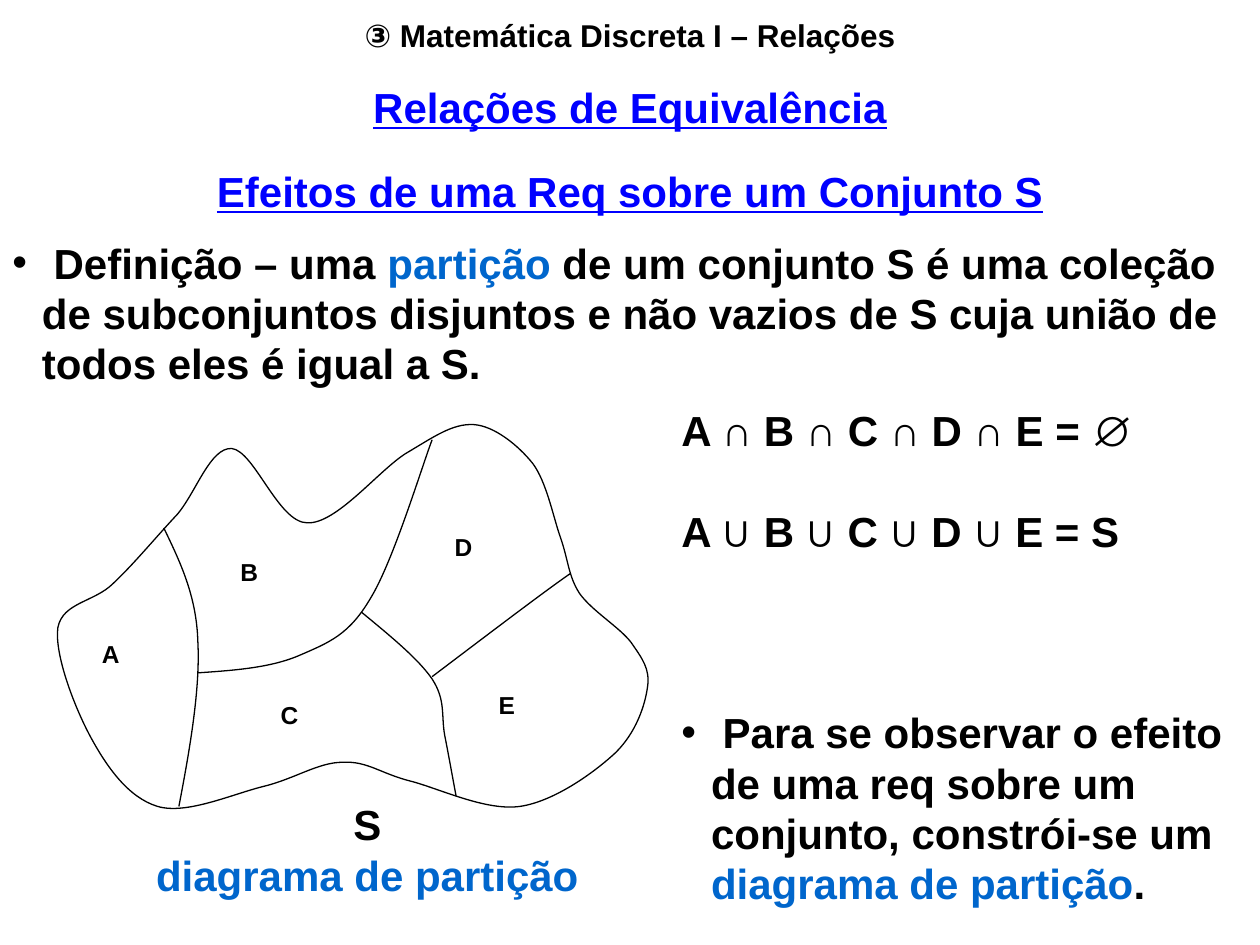
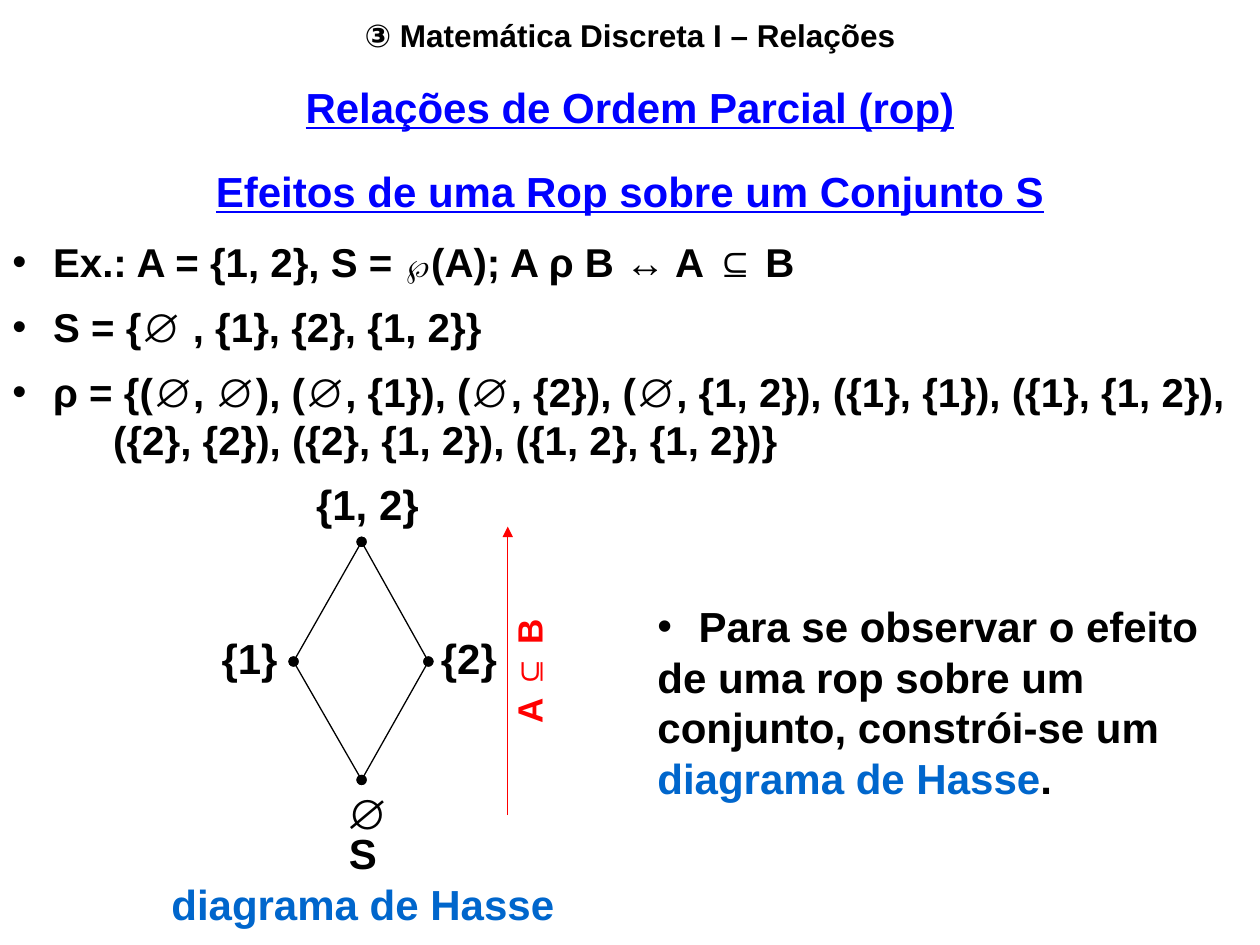
from dataclasses import dataclass

from lxml.etree import SubElement
from pptx import Presentation
from pptx.dml.color import RGBColor
from pptx.enum.shapes import MSO_CONNECTOR as Link
from pptx.enum.text import MSO_ANCHOR as Anchor, MSO_AUTO_SIZE as Fit, PP_ALIGN as Align
from pptx.oxml.ns import qn
from pptx.util import Inches, Pt

HUES = {"ink": "000000", "head": "0000FF", "term": "0066CC", "order": "FF0000"}
FONT = "Arial"
LEAD = 1.2
HANG = 0.235
Point = tuple[float, float]


@dataclass(frozen=True)
class Run:
    text: str
    hue: str = "ink"
    under: bool = False


@dataclass(frozen=True)
class Para:
    runs: tuple[Run, ...]
    size: float = 24
    mid: bool = False
    gap: float = 0
    bullet: bool = False
    inset: float = 0


@dataclass(frozen=True)
class Box:
    left: float
    top: float
    width: float
    height: float
    paras: tuple[Para, ...]
    wrap: bool = True
    turn: float = 0


@dataclass(frozen=True)
class Curve:
    start: Point
    bends: tuple[tuple[float, float, float, float, float, float], ...]
    closed: bool = False


def head(text: str, gap: float = 0) -> Para:
    return Para((Run(text, "head", True),), mid=True, gap=gap)


def plain(text: str, size: float = 24, hue: str = "ink", **more) -> Para:
    return Para((Run(text, hue),), size, **more)


def note(left: float, top: float, width: float, name: str) -> Box:
    return Box(left, top, width, 0.9, (
        plain("S", mid=True), plain(name, hue="term", mid=True)), wrap=False)


def color(key: str) -> RGBColor:
    return RGBColor.from_string(HUES[key])


def add_bullet(para) -> None:
    props = para._p.get_or_add_pPr()
    props.set("marL", str(Inches(HANG)))
    props.set("indent", str(-Inches(HANG)))
    tint = SubElement(props, qn("a:buClr"))
    SubElement(tint, qn("a:srgbClr"), val=HUES["ink"])
    SubElement(props, qn("a:buFont"), typeface=FONT)
    SubElement(props, qn("a:buChar"), char="•")


def fill_text(shape, box: Box) -> None:
    shape.left, shape.top = Inches(box.left), Inches(box.top)
    shape.width, shape.height = Inches(box.width), Inches(box.height)
    shape.rotation = box.turn
    frame = shape.text_frame
    frame.word_wrap = box.wrap
    frame.auto_size = Fit.SHAPE_TO_FIT_TEXT
    frame.vertical_anchor = Anchor.TOP
    for spot, item in enumerate(box.paras):
        para = frame.add_paragraph() if spot else frame.paragraphs[0]
        if item.bullet:
            add_bullet(para)
        elif item.inset:
            para._p.get_or_add_pPr().set("marL", str(Inches(item.inset)))
        para.alignment = Align.CENTER if item.mid else Align.LEFT
        if item.gap:
            para.space_before = Pt(item.gap * LEAD)
        for part in item.runs:
            run = para.add_run()
            run.text = part.text
            font = run.font
            font.name, font.size, font.bold = FONT, Pt(item.size), True
            font.underline = part.under
            font.color.rgb = color(part.hue)


def add_box(slide, box: Box) -> None:
    fill_text(slide.shapes.add_textbox(0, 0, 0, 0), box)


def bend_lines(shape, closed: bool) -> None:
    track = shape._element.spPr.find(".//" + qn("a:path"))
    lines = track.findall(qn("a:lnTo"))
    for first in range(0, len(lines), 3):
        bend = SubElement(track, qn("a:cubicBezTo"))
        for line in lines[first:first + 3]:
            bend.append(line[0])
            track.remove(line)
    if closed:
        SubElement(track, qn("a:close"))


def add_curve(slide, curve: Curve) -> None:
    points = [(Inches(x), Inches(y)) for bend in curve.bends
              for x, y in zip(bend[::2], bend[1::2])]
    pen = slide.shapes.build_freeform(*(Inches(n) for n in curve.start))
    pen.add_line_segments(points, close=False)
    shape = pen.convert_to_shape()
    bend_lines(shape, curve.closed)
    shape.shadow.inherit = False
    shape.fill.background()
    shape.line.color.rgb = color("ink")
    shape.line.width = Pt(0.75)


def add_link(slide, start: Point, end: Point, hue: str, **ends: str) -> None:
    link = slide.shapes.add_connector(
        Link.STRAIGHT, *(Inches(n) for n in (*start, *end)))
    link.line.color.rgb = color(hue)
    link.line.width = Pt(0.75)
    line = link.line._get_or_add_ln()
    for tag, kind in ends.items():
        SubElement(line, qn(f"a:{tag}"), type=kind)
    SubElement(link._element.spPr, qn("a:effectLst"))


def start_slide(deck):
    slide = deck.slides.add_slide(deck.slide_layouts[5])
    fill_text(slide.shapes.title, Box(0, 0.08, 10, 0.4, (
        plain("③ Matemática Discreta I – Relações", 18, mid=True),)))
    return slide


BLOB = Curve((1.84, 3.56), (
    (2.02, 3.58, 2.21, 4.15, 2.44, 4.15),
    (2.67, 4.16, 3, 3.74, 3.22, 3.6),
    (3.44, 3.47, 3.59, 3.36, 3.76, 3.37),
    (3.92, 3.38, 4.11, 3.53, 4.23, 3.68),
    (4.34, 3.83, 4.39, 4.1, 4.45, 4.27),
    (4.51, 4.44, 4.51, 4.57, 4.6, 4.71),
    (4.7, 4.85, 4.92, 4.98, 5.01, 5.1),
    (5.1, 5.23, 5.16, 5.31, 5.14, 5.45),
    (5.12, 5.6, 5.05, 5.81, 4.89, 5.97),
    (4.72, 6.13, 4.4, 6.36, 4.13, 6.4),
    (3.86, 6.44, 3.49, 6.26, 3.26, 6.2),
    (3.02, 6.14, 2.92, 6.04, 2.72, 6.05),
    (2.53, 6.05, 2.34, 6.18, 2.1, 6.24),
    (1.85, 6.3, 1.48, 6.47, 1.25, 6.4),
    (1.02, 6.33, 0.85, 6.09, 0.72, 5.85),
    (0.59, 5.61, 0.43, 5.19, 0.46, 4.98),
    (0.5, 4.78, 0.75, 4.78, 0.9, 4.63),
    (1.06, 4.48, 1.25, 4.25, 1.41, 4.08),
    (1.56, 3.9, 1.67, 3.55, 1.84, 3.56)), closed=True)
CUTS = (
    Curve((1.3, 4.19), ((1.43, 4.46, 1.56, 4.73, 1.57, 5.09),
                        (1.59, 5.46, 1.51, 5.93, 1.42, 6.4))),
    Curve((1.57, 5.34), ((1.86, 5.32, 2.15, 5.3, 2.38, 5.2),
                         (2.61, 5.1, 2.77, 5.04, 2.94, 4.75),
                         (3.12, 4.46, 3.35, 3.7, 3.43, 3.49))),
    Curve((2.87, 4.86), ((3.1, 5.05, 3.32, 5.23, 3.43, 5.39),
                         (3.54, 5.56, 3.5, 5.68, 3.53, 5.84),
                         (3.56, 5.99, 3.59, 6.16, 3.62, 6.32))),
    Curve((3.43, 5.37), ((3.88, 5.03, 4.34, 4.68, 4.53, 4.55),)),
)
PARTS = {"A": (0.71, 5.02), "B": (1.81, 4.37), "C": (2.13, 5.51),
         "D": (3.51, 4.17), "E": (3.86, 5.43)}


def add_parts(deck) -> None:
    slide = start_slide(deck)
    add_box(slide, Box(0, 0.6, 10, 2.54, (
        head("Relações de Equivalência"),
        head("Efeitos de uma Req sobre um Conjunto S", 16),
        Para((Run(" Definição – uma "), Run("partição", "term"),
              Run(" de um conjunto S é uma coleção de subconjuntos disjuntos e "
                  "não vazios de S cuja união de todos eles é igual a S.")),
             gap=10, bullet=True))))
    for curve in (BLOB, *CUTS):
        add_curve(slide, curve)
    for name, (left, top) in PARTS.items():
        add_box(slide, Box(left, top, 0.34, 0.34, (plain(name, 14),), wrap=False))
    add_box(slide, note(1.14, 6.29, 3.55, "diagrama de partição"))
    add_box(slide, Box(5.31, 3.16, 4.82, 4.1, (
        plain("A ∩ B ∩ C ∩ D ∩ E = ∅"),
        plain("A ∪ B ∪ C ∪ D ∪ E = S", gap=24),
        Para((Run(" Para se observar o efeito de uma req sobre um conjunto, "
                  "constrói-se um "),
              Run("diagrama de partição", "term"), Run(".")),
             gap=72, bullet=True))))


def add_hasse(deck) -> None:
    slide = start_slide(deck)
    add_box(slide, Box(0, 0.6, 10, 3.13, (
        head("Relações de Ordem Parcial (rop)"),
        head("Efeitos de uma Rop sobre um Conjunto S", 16),
        plain(" Ex.: A = {1, 2}, S = ℘(A); A ρ B ↔ A ⊆ B", 23, gap=10, bullet=True),
        plain(" S = {∅ , {1}, {2}, {1, 2}}", 23, gap=8, bullet=True),
        plain(" ρ = {(∅, ∅), (∅, {1}), (∅, {2}), (∅, {1, 2}), ({1}, {1}), ({1}, {1, 2}),",
              23, gap=8, bullet=True),
        plain("({2}, {2}), ({2}, {1, 2}), ({1, 2}, {1, 2})}", 23, inset=0.8))))
    top, low = (2.87, 4.3), (2.87, 6.19)
    left, right = (2.33, 5.25), (3.4, 5.25)
    for start, end in ((top, left), (right, low), (left, low), (top, right)):
        add_link(slide, start, end, "ink", headEnd="oval", tailEnd="oval")
    for text, x, y, width in (("∅", 2.65, 6.2, 0.47), ("{1}", 1.66, 4.97, 0.75),
                              ("{2}", 3.4, 4.97, 0.75), ("{1, 2}", 2.41, 3.75, 1.02)):
        add_box(slide, Box(x, y, width, 0.5, (plain(text),)))
    add_link(slide, (4.03, 6.47), (4.03, 4.18), "order", tailEnd="triangle")
    add_box(slide, Box(3.67, 5.09, 1.06, 0.44, (plain("A ⊆ B", 20, "order"),), turn=270))
    add_box(slide, note(1.26, 6.52, 3.24, "diagrama de Hasse"))
    add_box(slide, Box(5.12, 4.72, 5, 1.7, (
        plain(" Para se observar o efeito", bullet=True),
        Para((Run("de uma rop sobre um conjunto, constrói-se um "),
              Run("diagrama de Hasse", "term"), Run("."))))))


def main() -> None:
    deck = Presentation()
    deck.slide_width, deck.slide_height = Inches(10), Inches(7.5)
    add_parts(deck)
    add_hasse(deck)
    deck.save("out.pptx")


if __name__ == "__main__":
    main()
